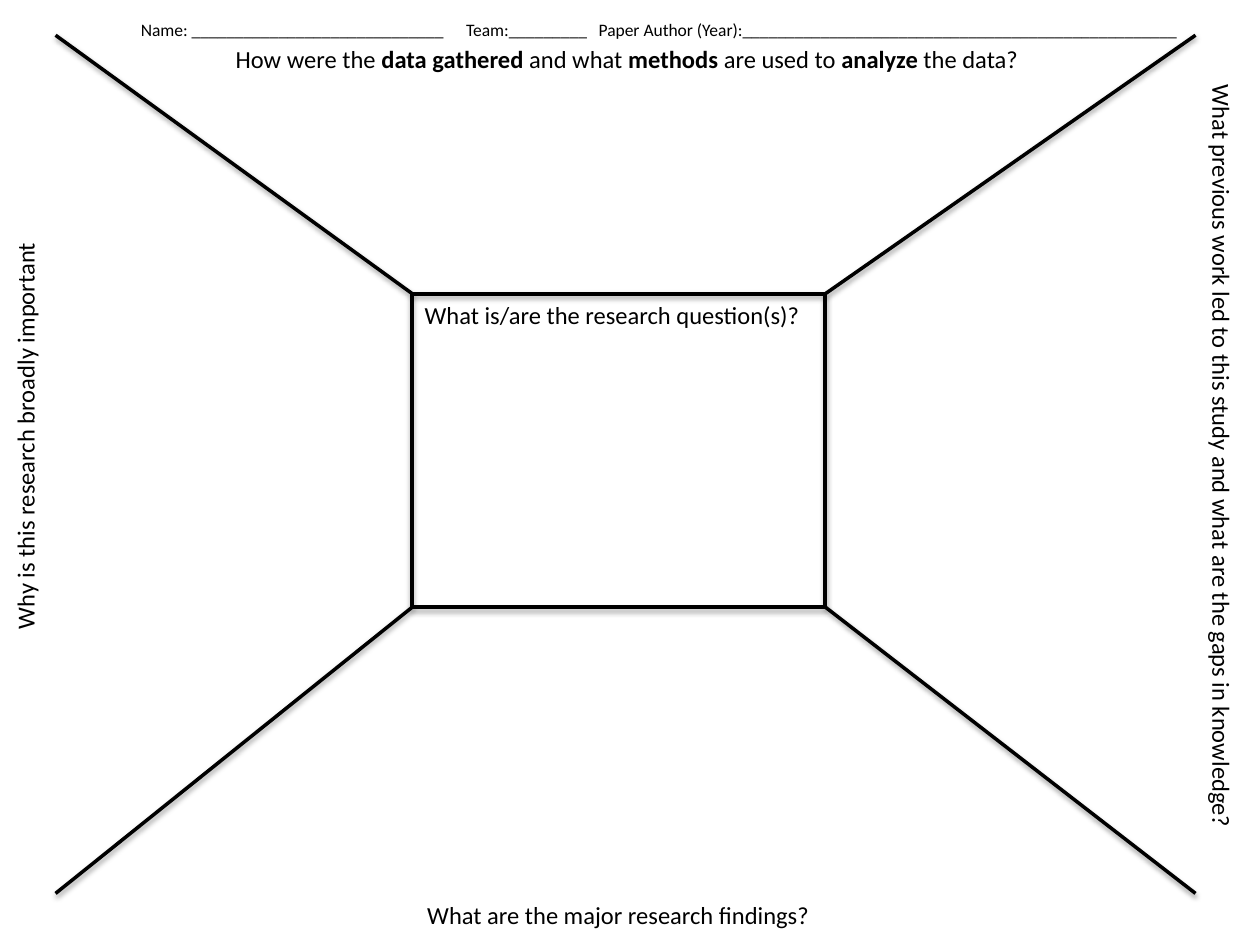
from itertools import product

from pptx import Presentation
from pptx.dml.color import RGBColor
from pptx.enum.shapes import MSO_CONNECTOR as Connector, MSO_SHAPE as Shape
from pptx.enum.text import MSO_AUTO_SIZE as AutoSize, PP_ALIGN as Align
from pptx.oxml import parse_xml
from pptx.oxml.ns import nsdecls
from pptx.util import Cm, Pt

BLACK = "000000"
LEFT, TOP, RIGHT, BOTTOM = 8.31, 5.92, 16.64, 12.24
OUTER_X = {LEFT: 1.12, RIGHT: 24.1}
OUTER_Y = {TOP: 0.71, BOTTOM: 18.01}
NAME_LINE = (
    "Name: _____________________________\tTeam:_________\t"
    "Paper Author (Year):__________________________________________________"
)
NAME_TABS = (6.56, 9.23)
METHODS_RUNS = (
    ("How were the ", False),
    ("data gathered ", True),
    ("and what ", False),
    ("methods", True),
    (" are used to ", False),
    ("analyze", True),
    (" the data?", False),
)


def color(value):
    return RGBColor.from_string(value)


def apply_format(target, values):
    for name, value in values.items():
        setattr(target, name, value)


def style_outline(shape, width, opacity, distance):
    shape.line.color.rgb = color(BLACK)
    shape.line.width = Pt(width)
    shape._element.spPr.append(parse_xml(
        f'<a:effectLst {nsdecls("a")}>'
        f'<a:outerShdw blurRad="{Pt(3.1)}" dist="{Pt(distance)}" dir="5400000" rotWithShape="0">'
        f'<a:srgbClr val="{BLACK}"><a:alpha val="{opacity * 1000}"/></a:srgbClr>'
        '</a:outerShdw></a:effectLst>'
    ))


def add_question_frame(slide):
    frame = slide.shapes.add_shape(
        Shape.RECTANGLE, Cm(LEFT), Cm(TOP), Cm(RIGHT - LEFT), Cm(BOTTOM - TOP))
    frame.fill.background()
    style_outline(frame, 2.25, 35, 1.8)


def add_diagonal(slide, x, y):
    diagonal = slide.shapes.add_connector(
        Connector.STRAIGHT, Cm(x), Cm(y), Cm(OUTER_X[x]), Cm(OUTER_Y[y]))
    style_outline(diagonal, 2, 38, 1.6)


def add_tabs(paragraph, positions):
    stops = "".join(f'<a:tab pos="{Cm(position)}" algn="l"/>' for position in positions)
    paragraph._p.get_or_add_pPr().append(
        parse_xml(f'<a:tabLst {nsdecls("a")}>{stops}</a:tabLst>'))


def add_label(slide, box, runs, size=14, align=Align.LEFT, rotation=0, wrap=False, tabs=()):
    label = slide.shapes.add_textbox(*(Cm(length) for length in box))
    label.rotation = rotation
    apply_format(label.text_frame, {
        "word_wrap": wrap,
        "auto_size": AutoSize.NONE if wrap else AutoSize.SHAPE_TO_FIT_TEXT,
    })
    paragraph = label.text_frame.paragraphs[0]
    paragraph.alignment = align
    if tabs:
        add_tabs(paragraph, tabs)
    for text, bold in runs:
        run = paragraph.add_run()
        run.text = text
        apply_format(run.font, {"name": "Calibri", "size": Pt(size), "bold": bold})
        run.font.color.rgb = color(BLACK)


def main():
    presentation = Presentation()
    apply_format(presentation, {"slide_width": Cm(25.4), "slide_height": Cm(19.05)})
    slide = presentation.slides.add_slide(presentation.slide_layouts[6])

    add_label(slide, (LEFT, TOP, 8.18, 6.32),
              [("What is/are the research question(s)?", False)], wrap=True)
    add_question_frame(slide)
    for x, y in product(OUTER_X, OUTER_Y):
        add_diagonal(slide, x, y)

    add_label(slide, (8.31, 18.01, 8.31, 0.86),
              [("What are the major research findings?", False)], align=Align.CENTER)
    add_label(slide, (4.5, 0.76, 16.69, 0.86), METHODS_RUNS)
    add_label(slide, (2.59, 0.25, 21.59, 0.69), [(NAME_LINE, False)], size=10, tabs=NAME_TABS)
    add_label(slide, (16.87, 8.79, 15.52, 0.86),
              [("What previous work led to this study and what are the gaps in knowledge?", False)],
              rotation=90)
    add_label(slide, (-3.68, 8.31, 8.38, 0.86),
              [("Why is this research broadly important", False)], rotation=270)

    presentation.save("out.pptx")


if __name__ == "__main__":
    main()
